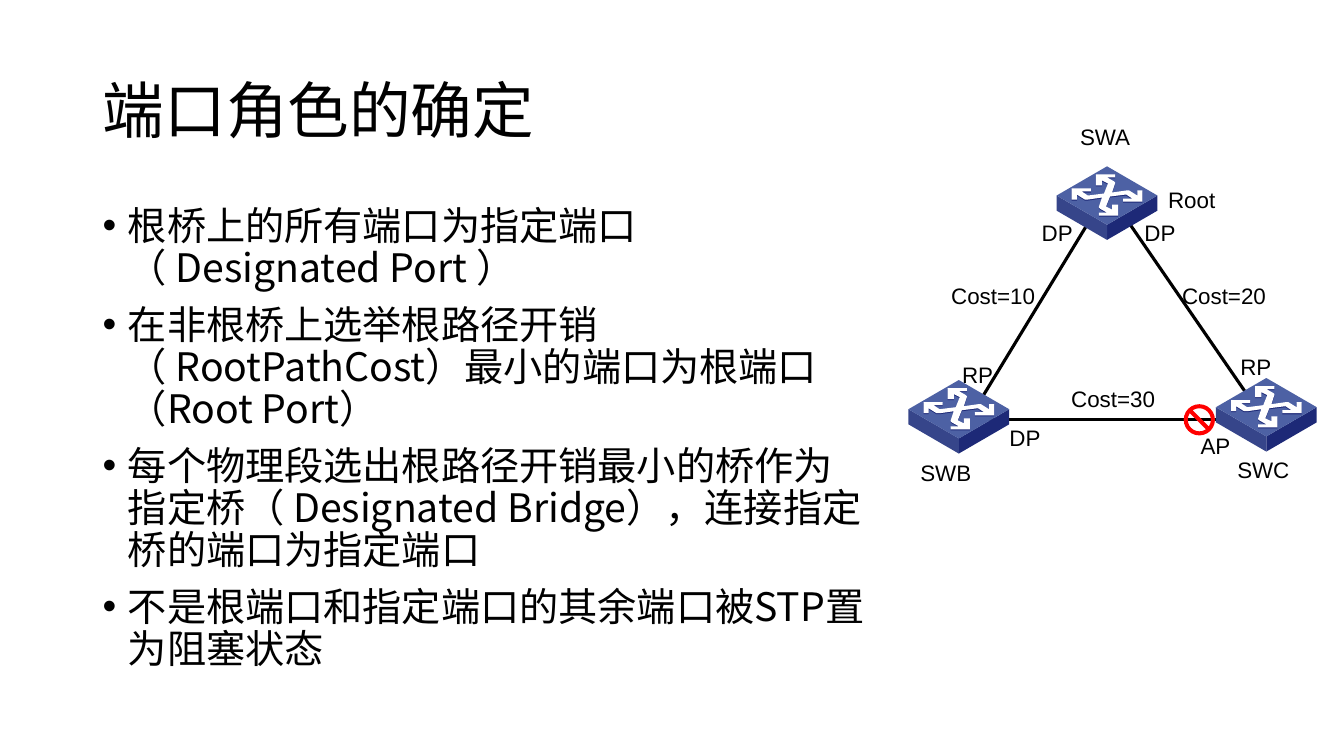
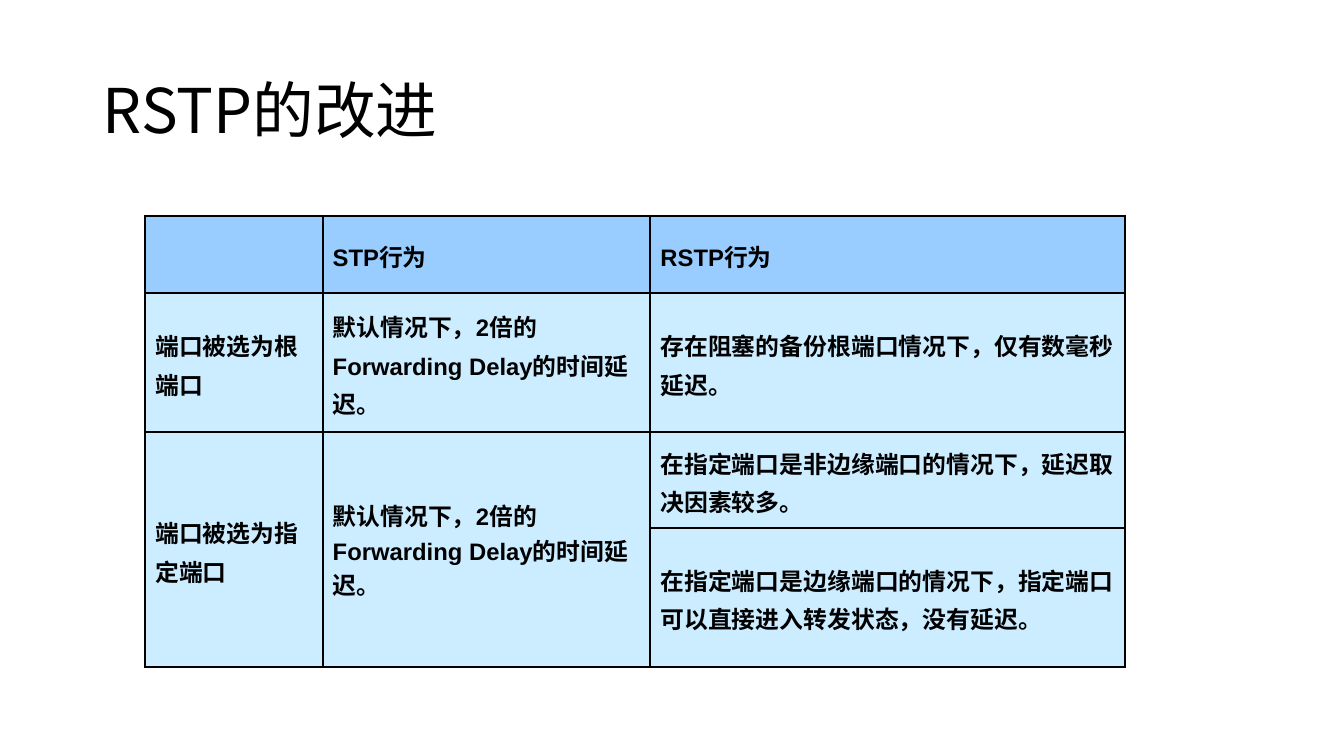
from dataclasses import dataclass
from typing import NamedTuple

from lxml.etree import SubElement
from pptx import Presentation
from pptx.dml.color import RGBColor
from pptx.enum.shapes import MSO_CONNECTOR, MSO_SHAPE
from pptx.enum.text import MSO_ANCHOR as Anchor, MSO_AUTO_SIZE as AutoSize, PP_ALIGN as Align
from pptx.oxml.ns import qn
from pptx.util import Pt

EMU_PER_PX = 9144  # 100 px to the inch


def px(n: int) -> int:
    return n * EMU_PER_PX


@dataclass(frozen=True)
class Theme:
    ink: str = "000000"
    white: str = "FFFFFF"
    switch_top: str = "4D61A4"
    switch_left: str = "36458A"
    switch_right: str = "1D2977"
    blocked: str = "FF0000"
    header: str = "99CCFF"
    cell: str = "CCECFF"
    latin: str = "Arial"
    cjk: str = "Noto Sans CJK SC"
    title_size: int = 44
    body_size: int = 28
    label_size: int = 16
    table_size: int = 17
    link_width: float = 2.25
    border_width: float = 1.5


T = Theme()


class Box(NamedTuple):
    x: int
    y: int
    w: int
    h: int

    def emu(self) -> list[int]:
        return [px(n) for n in self]


class Label(NamedTuple):
    text: str
    x: int
    y: int
    w: int


class Link(NamedTuple):
    x1: int
    y1: int
    x2: int
    y2: int


class Switch(NamedTuple):
    """Centre of the top face."""
    x: int
    y: int


class Entry(NamedTuple):
    row: int
    col: int
    text: str
    spacing: float = 1.1
    rows: int = 1


TITLE_BOX = Box(92, 40, 1150, 145)
BODY_BOX = Box(92, 200, 775, 476)
BLOCK_BOX = Box(1174, 401, 31, 31)
LABEL_HEIGHT = 37
NAME_W, PORT_W = 142, 79

BULLETS = [
    "根桥上的所有端口为指定端口（ Designated Port ）",
    "在非根桥上选举根路径开销（ RootPathCost）最小的端口为根端口（Root Port）",
    "每个物理段选出根路径开销最小的桥作为指定桥（ Designated Bridge），连接指定桥的端口为指定端口",
    "不是根端口和指定端口的其余端口被STP置为阻塞状态",
]
LINKS = [Link(970, 401, 1080, 220), Link(978, 416, 1222, 416), Link(1119, 220, 1238, 393)]
SWITCHES = [Switch(951, 406), Switch(1256, 404), Switch(1098, 194)]
LABELS = [
    Label("SWA", 1025, 117, NAME_W),
    Label("SWB", 867, 451, NAME_W),
    Label("SWC", 1182, 448, NAME_W),
    Label("Root", 1111, 180, NAME_W),
    Label("DP", 1009, 212, PORT_W),
    Label("DP", 1111, 212, PORT_W),
    Label("RP", 930, 353, PORT_W),
    Label("DP", 977, 416, PORT_W),
    Label("RP", 1206, 345, PORT_W),
    Label("AP", 1166, 424, PORT_W),
    Label("Cost=10", 914, 275, NAME_W),
    Label("Cost=20", 1143, 275, NAME_W),
    Label("Cost=30", 1033, 377, NAME_W),
]

# Half-width, half-height and depth of a switch; offsets are from its top centre.
HALF_W, HALF_H, DEPTH = 50, 29, 15
TOP_FACE = [(HALF_W, 0), (0, HALF_H), (-HALF_W, 0), (0, -HALF_H)]
RIGHT_FACE = [(HALF_W, 0), (HALF_W, DEPTH), (0, HALF_H + DEPTH), (0, HALF_H)]
LEFT_FACE = [(-x, y) for x, y in RIGHT_FACE]
HALF_ARROWS = [
    (35, -5), (30, -5), (30, 0), (22, -5), (21, -5), (19, -5), (5, -3), (8, -12),
    (8, -13), (7, -14), (0, -18), (8, -18), (8, -21), (-11, -21), (-11, -10), (-5, -10),
    (-5, -15), (1, -12), (-3, -2), (-19, 0), (-25, -4), (-16, -4), (-16, -7), (-35, -7),
]
ARROWS = HALF_ARROWS + [(-x, -1 - y) for x, y in HALF_ARROWS]  # half-turn symmetry
ARROW_SHADE = [(x, y + 1) for x, y in ARROWS]
SWITCH_PARTS = [
    (RIGHT_FACE, T.switch_right),
    (LEFT_FACE, T.switch_left),
    (TOP_FACE, T.switch_top),
    (ARROW_SHADE, T.switch_right),
    (ARROWS, T.white),
]

TABLE_AT = (144, 214)
COLS = [176, 325, 471]
ROWS = [77, 138, 95, 138]
STP_DELAY = "默认情况下，2倍的Forwarding Delay的时间延迟。"
ENTRIES = [
    Entry(0, 1, "STP行为"),
    Entry(0, 2, "RSTP行为"),
    Entry(1, 0, "端口被选为根端口"),
    Entry(1, 1, STP_DELAY),
    Entry(1, 2, "存在阻塞的备份根端口情况下，仅有数毫秒延迟。"),
    Entry(2, 0, "端口被选为指定端口", rows=2),
    Entry(2, 1, STP_DELAY, spacing=1.0, rows=2),
    Entry(2, 2, "在指定端口是非边缘端口的情况下，延迟取决因素较多。"),
    Entry(3, 2, "在指定端口是边缘端口的情况下，指定端口可以直接进入转发状态，没有延迟。"),
]


def rgb(color: str) -> RGBColor:
    return RGBColor.from_string(color)


def add_bullet(p, indent: int = 25) -> None:
    pPr = p._p.get_or_add_pPr()
    pPr.set("marL", str(px(indent)))
    pPr.set("indent", str(-px(indent)))
    SubElement(pPr, qn("a:buFont"), typeface=T.latin)
    SubElement(pPr, qn("a:buChar"), char="•")


def write(tf, *texts: str, size: int, font: str = T.latin, bold: bool = False,
          align=Align.LEFT, spacing: float = 1.0, gap: int = 0, bullet: bool = False) -> None:
    """Fill a text frame, one paragraph per text."""
    tf.word_wrap = True
    for i, text in enumerate(texts):
        p = tf.add_paragraph() if i else tf.paragraphs[0]
        p.alignment, p.line_spacing = align, spacing
        p.space_before = Pt(gap if i else 0)
        if bullet:
            add_bullet(p)
        r = p.add_run()
        r.text = text
        r.font.size, r.font.bold, r.font.name = Pt(size), bold, font
        r.font.color.rgb = rgb(T.ink)
        SubElement(r._r.get_or_add_rPr(), qn("a:ea"), typeface=T.cjk)


def add_titled_slide(prs, title: str):
    s = prs.slides.add_slide(prs.slide_layouts[5])
    sp = s.shapes.title
    sp.left, sp.top, sp.width, sp.height = TITLE_BOX.emu()
    tf = sp.text_frame
    tf.vertical_anchor, tf.auto_size = Anchor.MIDDLE, AutoSize.NONE
    write(tf, title, size=T.title_size, font=T.cjk, spacing=0.9)
    return s


def add_text(s, box: Box, *texts: str, **fmt) -> None:
    write(s.shapes.add_textbox(*box.emu()).text_frame, *texts, **fmt)


def paint(sp, color: str) -> None:
    """Flat fill with neither outline nor shadow."""
    sp.fill.solid()
    sp.fill.fore_color.rgb = rgb(color)
    sp.line.fill.background()
    sp.shadow.inherit = False


def draw_link(s, link: Link) -> None:
    c = s.shapes.add_connector(MSO_CONNECTOR.STRAIGHT, *[px(n) for n in link])
    c.line.color.rgb = rgb(T.ink)
    c.line.width = Pt(T.link_width)
    SubElement(c._element.spPr, qn("a:effectLst"))


def draw_switch(s, switch: Switch) -> None:
    group = s.shapes.add_group_shape()
    for offsets, color in SWITCH_PARTS:
        start, *rest = [(switch.x + dx, switch.y + dy) for dx, dy in offsets]
        outline = group.shapes.build_freeform(*start, scale=EMU_PER_PX)
        outline.add_line_segments(rest, close=True)
        paint(outline.convert_to_shape(), color)


def draw_blocked_mark(s) -> None:
    sp = s.shapes.add_shape(MSO_SHAPE.NO_SYMBOL, *BLOCK_BOX.emu())
    sp.adjustments[0] = 0.13
    paint(sp, T.blocked)


def style_cell(cell, color: str) -> None:
    tcPr = cell._tc.get_or_add_tcPr()
    for side in ("lnL", "lnR", "lnT", "lnB"):
        ln = SubElement(tcPr, qn(f"a:{side}"), w=str(Pt(T.border_width)))
        SubElement(SubElement(ln, qn("a:solidFill")), qn("a:srgbClr"), val=T.ink)
    cell.fill.solid()
    cell.fill.fore_color.rgb = rgb(color)
    cell.vertical_anchor = Anchor.MIDDLE


def draw_table(s) -> None:
    box = Box(*TABLE_AT, sum(COLS), sum(ROWS))
    table = s.shapes.add_table(len(ROWS), len(COLS), *box.emu()).table
    table.first_row = table.horz_banding = False
    for col, width in zip(table.columns, COLS):
        col.width = px(width)
    for i, (row, height) in enumerate(zip(table.rows, ROWS)):
        row.height = px(height)
        for cell in row.cells:
            style_cell(cell, T.cell if i else T.header)
    for e in ENTRIES:
        cell = table.cell(e.row, e.col)
        if e.rows > 1:
            cell.merge(table.cell(e.row + e.rows - 1, e.col))
        write(cell.text_frame, e.text, size=T.table_size, bold=True, spacing=e.spacing)


def build_port_roles(prs) -> None:
    s = add_titled_slide(prs, "端口角色的确定")
    add_text(s, BODY_BOX, *BULLETS, size=T.body_size, font=T.cjk,
             spacing=0.9, gap=10, bullet=True)
    for link in LINKS:
        draw_link(s, link)
    for switch in SWITCHES:
        draw_switch(s, switch)
    draw_blocked_mark(s)
    for label in LABELS:
        add_text(s, Box(label.x, label.y, label.w, LABEL_HEIGHT), label.text,
                 size=T.label_size, align=Align.CENTER)


def build_rstp_gains(prs) -> None:
    draw_table(add_titled_slide(prs, "RSTP的改进"))


def main() -> None:
    prs = Presentation()
    prs.slide_width, prs.slide_height = px(1333), px(750)
    build_port_roles(prs)
    build_rstp_gains(prs)
    prs.save("out.pptx")


if __name__ == "__main__":
    main()
